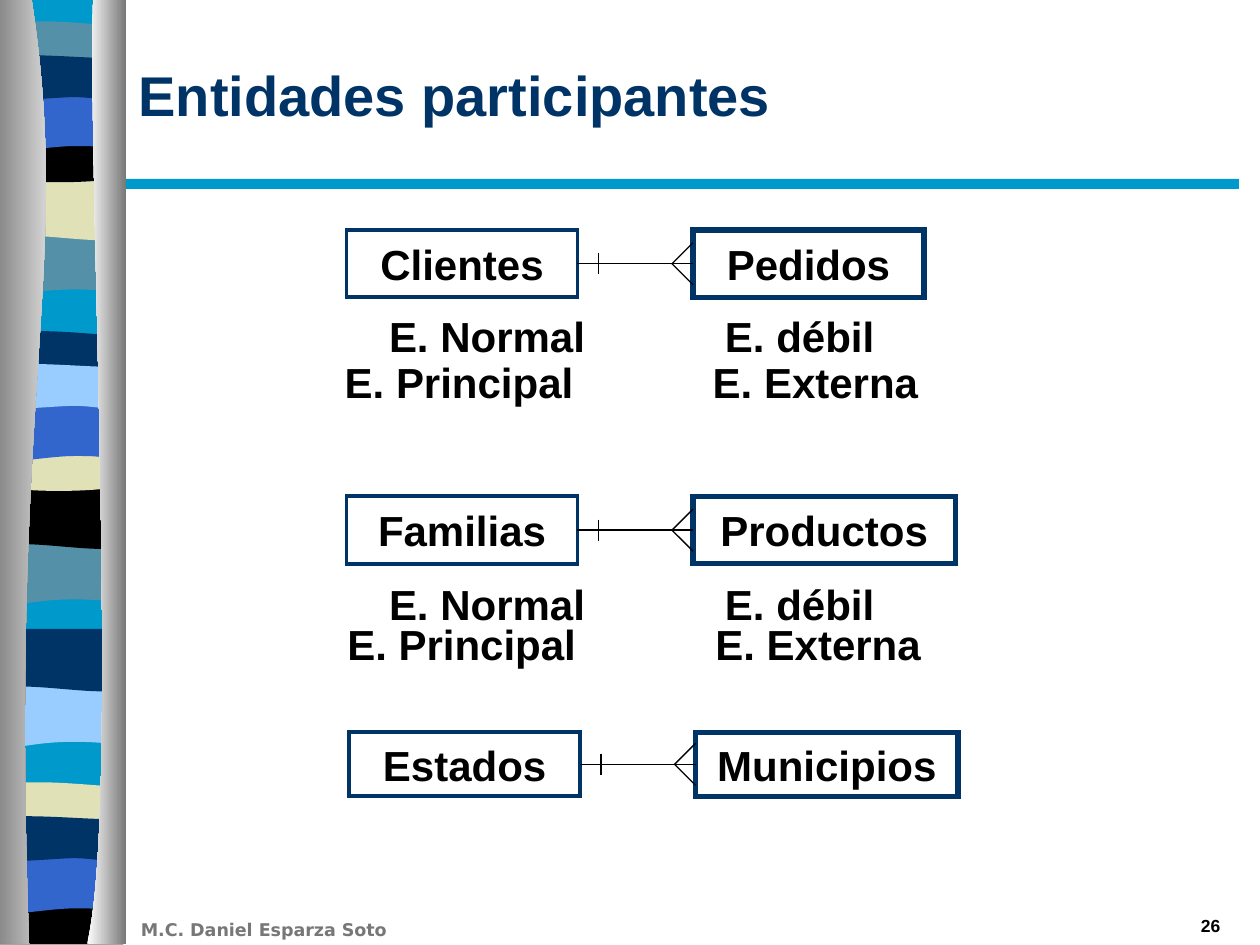
from lxml import etree
from pptx import Presentation
from pptx.dml.color import RGBColor
from pptx.enum.shapes import MSO_CONNECTOR, MSO_SHAPE
from pptx.enum.text import MSO_ANCHOR, PP_ALIGN
from pptx.oxml.ns import qn
from pptx.util import Pt

LEFT, CENTER, RIGHT = PP_ALIGN.LEFT, PP_ALIGN.CENTER, PP_ALIGN.RIGHT
MIDDLE = MSO_ANCHOR.MIDDLE
RECTANGLE = MSO_SHAPE.RECTANGLE
STRAIGHT = MSO_CONNECTOR.STRAIGHT

NAVY = RGBColor(0x00, 0x33, 0x66)
CYAN = RGBColor(0x00, 0x99, 0xCC)
TEAL = RGBColor(0x54, 0x90, 0xA8)
CREAM = RGBColor(0xE1, 0xE1, 0xB7)
BLUE = RGBColor(0x33, 0x66, 0xCC)
SKY = RGBColor(0x99, 0xCC, 0xFF)
BLACK = RGBColor(0, 0, 0)
WHITE = RGBColor(0xFF, 0xFF, 0xFF)
GRAY = RGBColor(0x76, 0x76, 0x76)
FOOTER_GRAY = RGBColor(0x77, 0x77, 0x77)

deck = Presentation()
deck.slide_width, deck.slide_height = Pt(720), Pt(540)
slide = deck.slides.add_slide(deck.slide_layouts[5])
shapes = slide.shapes


def draw_outline(outline, top=0):
    """Draw a closed outline of points (x, y) and Bézier segments (three x, y pairs)."""
    corners = [(Pt(x), Pt(y + top)) for step in outline
               for x, y in zip(step[::2], step[1::2])]
    builder = shapes.build_freeform(*corners[0])
    builder.add_line_segments(corners[1:], close=True)
    shape = builder.convert_to_shape()
    shape.shadow.inherit = False
    shape.line.fill.background()
    # Three straight segments become one curve where the outline has a Bézier step
    segments = iter(list(shape._element.spPr.iter(qn("a:lnTo"))))
    for step in outline[1:]:
        segment = next(segments)
        if len(step) == 6:
            segment.tag = qn("a:cubicBezTo")
            for extra in (next(segments), next(segments)):
                segment.append(extra[0])
                extra.getparent().remove(extra)
    return shape


def write(shape, text, size, color=BLACK, align=LEFT, font="Arial"):
    frame = shape.text_frame
    frame.text = text
    frame.word_wrap = True
    para = frame.paragraphs[0]
    para.alignment = align
    for span in para.runs:
        span.font.name = font
        span.font.size = Pt(size)
        span.font.bold = True
        span.font.color.rgb = color


# Striped curtain between two columns
FALLING = [(70.5, 0), (70.5, 34), (19.4, 28, 9.4, 39.5, -3.5, 34), (-3.5, 0)]
SAGGING = [(70.5, 0), (70.5, 34), (58, 39.5, 19.4, 30, -3, 34), (-3, 0)]
THIN = [(70.5, 3.6), (70.5, 21), (58, 24.5, 9.4, 24.5, -3.5, 21), (-3.5, 3.6),
        (1.4, 0, 13, 0.7, 25, 0.7), (37, 0.7, 61, 2.9, 70.5, 3.6)]
BOWED = [(70.5, 0), (70.5, 23), (58, 27.4, 9.4, 27.4, -3, 23), (-3, 0),
         (42.5, 3.6, 55.5, 0, 70.5, 0)]
ARCHED = [(70.5, 0), (70.5, 34), (59, 30.2, 54.7, 30.2, 42.5, 30.2),
          (30.2, 30.2, 8, 34, -3, 34), (-3, 0)]
WAVY = [(70.5, 3.6), (70.5, 26), (66, 29.5, 54.7, 26, 42.5, 26),
        (30.2, 26, 4.3, 29.5, -3.5, 26), (-3.5, 3.6),
        (7, 0, 47, 3.6, 59, 3.6), (71.3, 3.6, 68.4, 3.6, 70.5, 3.6)]
FOOT = [(70.5, 0), (70.5, 27), (-3, 27), (-3.5, 0), (42.5, 3.6, 55.5, 0, 70.5, 0)]
BACKING = [(70.5, 0), (70.5, 538), (-3.5, 538), (-3.5, 0)]
bands = [
    (BACKING, 0, CYAN),
    (FALLING, 133.2, TEAL), (SAGGING, 101.5, CREAM), (THIN, 11.5, TEAL),
    (BOWED, 77.8, BLACK), (ARCHED, 53.3, BLUE), (WAVY, 29.5, NAVY),
    (FALLING, 310.3, TEAL), (SAGGING, 277.9, BLACK), (THIN, 188.6, NAVY),
    (BOWED, 254.2, CREAM), (ARCHED, 230.4, BLUE), (WAVY, 205.9, SKY),
    (FALLING, 391.7, SKY), (SAGGING, 359.3, NAVY), (THIN, 446.4, CREAM),
    (FOOT, 512.6, BLACK), (ARCHED, 488.9, BLUE), (WAVY, 464.4, NAVY),
]
for outline, top, color in bands:
    band = draw_outline(outline, top)
    band.fill.solid()
    band.fill.fore_color.rgb = color

columns = [
    ([(18, -0.7), (41.8, 155.5, 5, 213, 16.6, 539.3), (-6.5, 539.3), (-7.2, -0.7)],
     GRAY, WHITE),
    ([(53.3, -0.7), (49.7, 90, 69, 465, 49.7, 539.3), (72.3, 539.3), (72.3, 0)],
     WHITE, GRAY),
]
for outline, *stop_colors in columns:
    column = draw_outline(outline)
    column.fill.gradient()
    column.fill.gradient_angle = 0
    for stop, color in zip(column.fill.gradient_stops, stop_colors):
        stop.color.rgb = color

# Title, rule and footer
title = shapes.title
title.left, title.top, title.width, title.height = Pt(72), Pt(8.6), Pt(632), Pt(90)
title.text_frame.vertical_anchor = MIDDLE
write(title, "Entidades participantes", 32, NAVY)

rule = shapes.add_shape(RECTANGLE, Pt(72), Pt(102.2), Pt(636), Pt(5.8))
rule.shadow.inherit = False
rule.fill.solid()
rule.fill.fore_color.rgb = CYAN
rule.line.fill.background()

author = shapes.add_textbox(Pt(73.4), Pt(521.6), Pt(204), Pt(19.4))
write(author, "M.C. Daniel Esparza Soto", 10, FOOTER_GRAY, font="DejaVu Sans")
number = shapes.add_textbox(Pt(554.4), Pt(519.4), Pt(150), Pt(18.7))
write(number, "26", 10, align=RIGHT)

# Entity pairs: names, left, top, height, width of the second box
pairs = [
    ("Clientes", "Pedidos", 198, 131.5, 38.5, 132),
    ("Familias", "Productos", 198, 283.7, 38.5, 150),
    ("Estados", "Municipios", 199.5, 418.5, 36.5, 150),
]
for first, second, left, top, height, second_width in pairs:
    entities = []
    for name, x, width, weight in [(first, left, 132, 2.25),
                                   (second, left + 198, second_width, 3)]:
        entity = shapes.add_shape(RECTANGLE, Pt(x), Pt(top), Pt(width), Pt(height))
        entity.shadow.inherit = False
        entity.fill.background()
        entity.line.color.rgb = NAVY
        entity.line.width = Pt(weight)
        etree.SubElement(entity.line._ln, qn("a:miter"), lim="800000")
        write(entity, name, 24, align=CENTER)
        entities.append(entity)

    start, end, middle = left + 132, left + 198, top + height / 2
    strokes = [
        (start, middle, end, middle),
        (end - 12, middle, end, middle - 12),
        (end - 12, middle, end, middle + 12),
        (start + 12, middle - 6, start + 12, middle + 6),
    ]
    links = []
    for stroke in strokes:
        link = shapes.add_connector(STRAIGHT, *map(Pt, stroke))
        link.line.color.rgb = BLACK
        link.line.width = Pt(0.75)
        etree.SubElement(link._element.spPr, qn("a:effectLst"))
        links.append(link)
    links[0].begin_connect(entities[0], 3)
    links[0].end_connect(entities[1], 1)

# Entity kinds under the pairs: text, left, top, indent, tab stop
kinds = [
    ("E. Normal\tE. débil", 184.3, 174.2, 38, 192),
    ("E. Principal\tE. Externa", 184.3, 200.2, 12.7, 210.3),
    ("E. Normal\tE. débil", 184.3, 326.9, 38, 192),
    ("E. Principal\tE. Externa", 185.8, 349.9, 12.7, 210.3),
]
for text, left, top, indent, tab_stop in kinds:
    label = shapes.add_textbox(Pt(left), Pt(top), Pt(354), Pt(36))
    label.text_frame.margin_left = Pt(indent)
    write(label, text, 24)
    properties = label.text_frame.paragraphs[0]._p.get_or_add_pPr()
    tabs = etree.SubElement(properties, qn("a:tabLst"))
    etree.SubElement(tabs, qn("a:tab"), pos=str(Pt(tab_stop)), algn="l")

deck.save("out.pptx")
